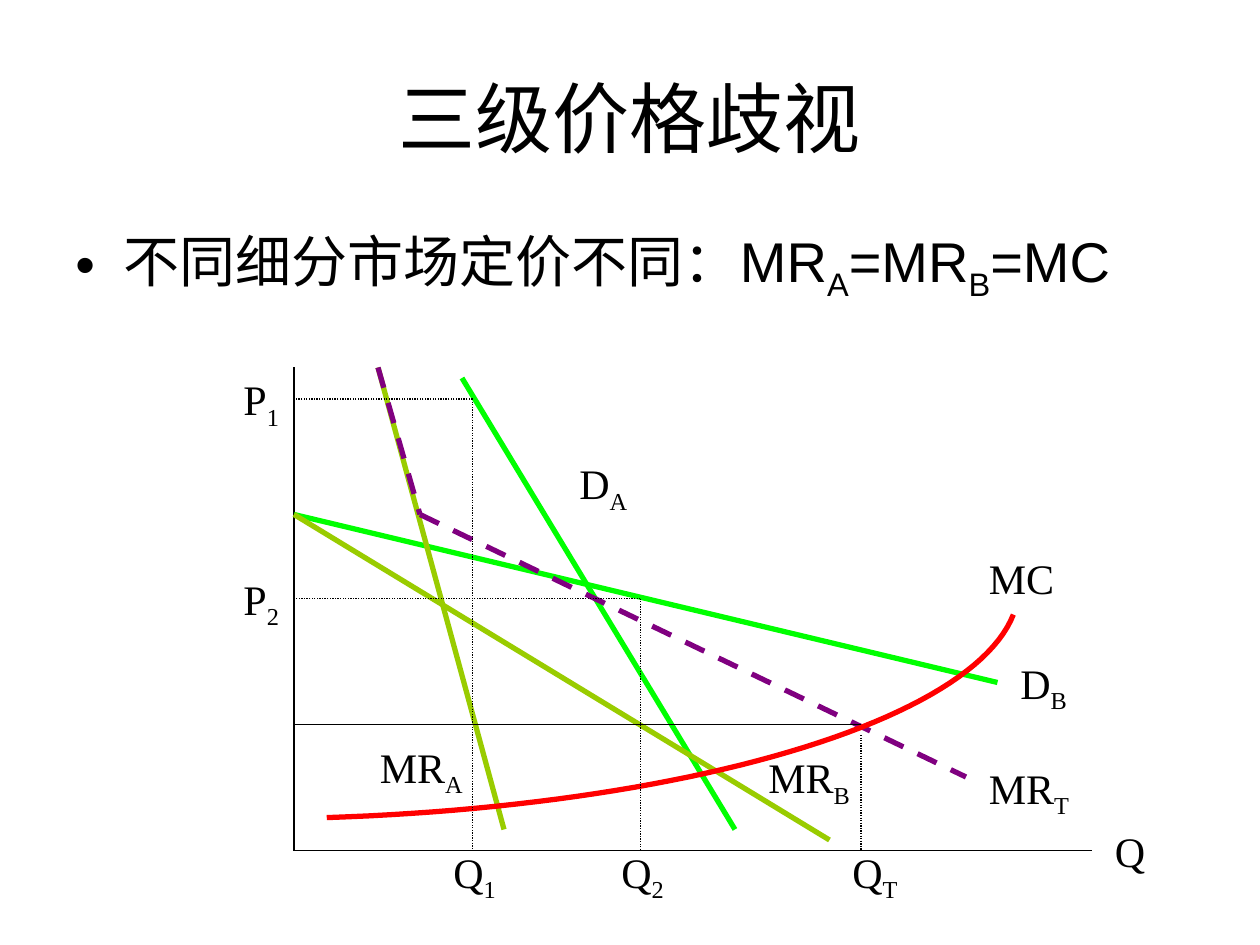
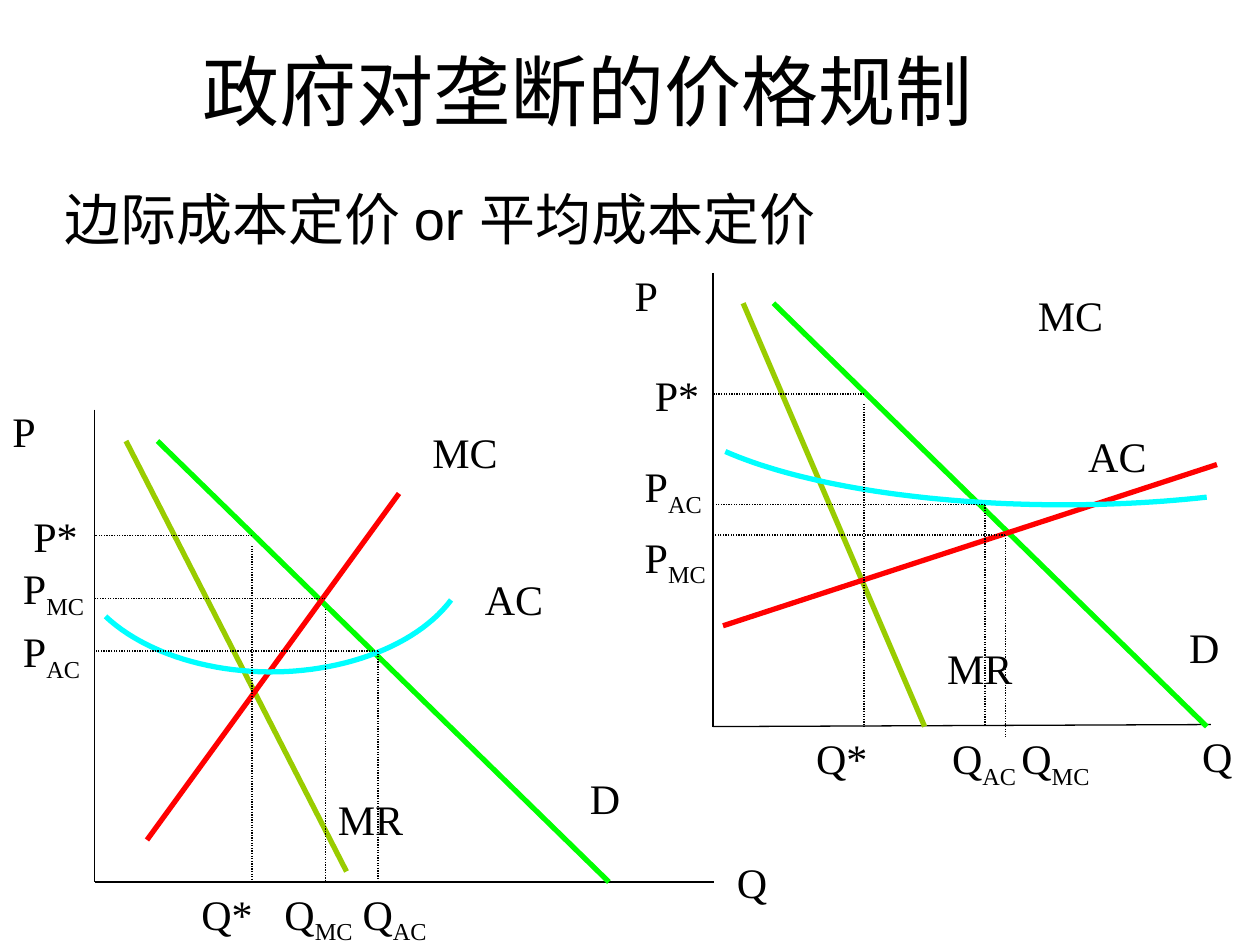
import math

from lxml import etree
from pptx import Presentation
from pptx.dml.color import RGBColor
from pptx.enum.dml import MSO_LINE
from pptx.enum.shapes import MSO_CONNECTOR
from pptx.enum.text import MSO_ANCHOR, MSO_AUTO_SIZE, PP_ALIGN
from pptx.oxml.ns import qn
from pptx.util import Inches, Pt

BLACK = RGBColor(0x00, 0x00, 0x00)
GREEN = RGBColor(0x00, 0xFF, 0x00)
OLIVE = RGBColor(0x99, 0xCC, 0x00)
RED = RGBColor(0xFF, 0x00, 0x00)
CYAN = RGBColor(0x00, 0xFF, 0xFF)
PURPLE = RGBColor(0x80, 0x00, 0x80)

DASH, DOT = MSO_LINE.DASH, MSO_LINE.ROUND_DOT
STRAIGHT = MSO_CONNECTOR.STRAIGHT
MIDDLE, CENTER, LEFT = MSO_ANCHOR.MIDDLE, PP_ALIGN.CENTER, PP_ALIGN.LEFT
FIXED = MSO_AUTO_SIZE.NONE

SANS, SERIF = "Arial", "Times New Roman"
WIDE, HIGH = Inches(10), Inches(7.5)
CELL = WIDE / 120          # the slide is a grid of 120 by 90 cells
THIN, THICK = 0.75, 3
STEPS = 48                 # segments in a curve


def cells(*counts):
    return [round(n * CELL) for n in counts]


def write(para, text, font, size):
    """Add runs; every second part between underscores is a subscript."""
    for i, part in enumerate(text.split("_")):
        if not part:
            continue
        run = para.add_run()
        run.text = part
        run.font.name, run.font.size = font, Pt(size)
        run.font.color.rgb = BLACK
        if i % 2:
            run._r.get_or_add_rPr().set("baseline", "-25000")


def add_text(shapes, box, text, font, size):
    frame = shapes.add_textbox(*cells(*box)).text_frame
    frame.word_wrap = True
    para = frame.paragraphs[0]
    para.alignment = LEFT
    write(para, text, font, size)
    return para


def add_bullet(para):
    props = para._p.get_or_add_pPr()
    props.set("marL", str(Inches(0.38)))
    props.set("indent", str(-Inches(0.38)))
    etree.SubElement(props, qn("a:buFont")).set("typeface", SANS)
    etree.SubElement(props, qn("a:buChar")).set("char", "•")


def add_tabs(para, stops):
    tabs = etree.SubElement(para._p.get_or_add_pPr(), qn("a:tabLst"))
    for stop in stops:
        tab = etree.SubElement(tabs, qn("a:tab"))
        tab.set("pos", str(Inches(stop)))
        tab.set("algn", "l")


def add_head(slide, box, text, line_box, line):
    """Title and the statement below it."""
    title = slide.shapes.title
    title.left, title.top, title.width, title.height = cells(*box)
    frame = title.text_frame
    frame.auto_size, frame.vertical_anchor = FIXED, MIDDLE
    para = frame.paragraphs[0]
    para.alignment = CENTER
    write(para, text, SANS, 44)
    return add_text(slide.shapes, line_box, line, SANS, 32)


class Plot:
    """A diagram measured in cells right of and above its origin."""

    def __init__(self, shapes, left, base, scale=1):
        self.shapes = shapes
        self.left, self.base, self.scale = left, base, scale

    def spot(self, x, y):
        return self.left + x * self.scale, self.base - y * self.scale

    def line(self, start, end, color=BLACK, width=THIN, dash=None):
        ends = cells(*self.spot(*start), *self.spot(*end))
        link = self.shapes.add_connector(STRAIGHT, *ends)
        link.line.color.rgb, link.line.width = color, Pt(width)
        if dash:
            link.line.dash_style = dash
        etree.SubElement(link._element.spPr, qn("a:effectLst"))

    def axes(self, top, end):
        self.line((0, top), (0, 0))
        self.line((0, 0), end)

    def guide(self, x, y, top, foot=0, flat=DOT):
        """Lead a point to both axes."""
        self.line((x, y), (0, y), dash=flat)
        self.line((x, top), (x, foot), dash=DOT)

    def arc(self, mid, radii, first, last, color):
        """Lower part of an ellipse, between two angles in degrees."""
        points = []
        for i in range(STEPS + 1):
            turn = math.radians(first + (last - first) * i / STEPS)
            points.append(cells(*self.spot(mid[0] + radii[0] * math.cos(turn),
                                           mid[1] - radii[1] * math.sin(turn))))
        path = self.shapes.build_freeform(*points[0])
        path.add_line_segments(points[1:], close=False)
        curve = path.convert_to_shape()
        curve.shadow.inherit = False
        curve.fill.background()
        curve.line.color.rgb, curve.line.width = color, Pt(THICK)

    def label(self, text, x, y, width):
        high = 6.7 if "_" in text else 6
        box = (*self.spot(x, y), width * self.scale, high)
        return add_text(self.shapes, box, text, SERIF, 24)


def split_market(shapes, left, base):
    """Two markets with their joint marginal revenue."""
    plot = Plot(shapes, left, base)
    plot.axes(46, (76, 0))
    for start, end, color, dash in (
            ((16, 45), (42, 2), GREEN, None),
            ((0, 32), (67, 16), GREEN, None),
            ((8, 46), (20, 2), OLIVE, None),
            ((0, 32), (51, 1), OLIVE, None),
            ((12, 32), (64, 7), PURPLE, DASH),
            ((8, 46), (12, 32), PURPLE, DASH)):
        plot.line(start, end, color, THICK, dash)
    plot.arc((-5, 25), (74, 22), 83.7, 6.6, RED)
    plot.guide(17, 43, 43)
    plot.guide(33, 24, 24)
    plot.guide(54, 12, 11, flat=None)
    for mark in (("D_A", 26, 38, 8), ("D_B", 68, 19, 8),
                 ("P_1", -6, 46, 8), ("P_2", -6, 27, 9),
                 ("MC", 65, 29, 9), ("MR_A", 7, 11, 13),
                 ("MR_B", 44, 10, 12), ("MR_T", 65, 9, 12),
                 ("Q_1", 14, 1, 8), ("Q_2", 30, 1, 9),
                 ("Q_T", 52, 1, 8), ("Q", 77, 3, 5)):
        plot.label(*mark)


def price_rule(shapes, box, end, revenue, cost, average, meet, foot, heights,
               amounts, stops, last):
    """Monopoly diagram; both cases share the demand curve and most labels."""
    plot = Plot(shapes, *box)
    plot.axes(45, end)
    plot.line((6, 42), (49, 0), GREEN, THICK)
    plot.line((3, 42), revenue, OLIVE, THICK)
    plot.line(*cost, RED, THICK)
    plot.arc(*average, CYAN)
    # Guides: monopoly, marginal cost and average cost prices
    plot.guide(15, 33, 32)
    plot.guide(*meet, foot)
    plot.guide(27, 22, 22)
    for mark in (("MC", 31, 44, 9), ("AC", 36, 30, 9), ("D", 46, 11, 6),
                 ("P_MC", -8, heights[0], 10), ("P_AC", -8, heights[1], 10),
                 ("P*", -7, 36, 8), ("P", -9, 46, 9), ("MR", 22, 9, 9),
                 ("Q", *last, 7)):
        plot.label(*mark)
    add_tabs(plot.label(amounts, 9, 0, 37), stops)


def main():
    deck = Presentation()
    deck.slide_width, deck.slide_height = WIDE, HIGH
    layout = deck.slide_layouts[5]

    # Price discrimination
    slide = deck.slides.add_slide(layout)
    add_bullet(add_head(slide, (6, 3.6, 108, 15), "三级价格歧视",
                        (6, 21, 108, 59.4),
                        "不同细分市场定价不同：MR_A_=MR_B_=MC"))
    split_market(slide.shapes, 28, 81)

    # Price regulation
    slide = deck.slides.add_slide(layout)
    add_head(slide, (5, 4, 102, 9), "政府对垄断的价格规制",
             (5, 17, 102, 8), "边际成本定价 or 平均成本定价")
    price_rule(slide.shapes.add_group_shape().shapes, (9, 84),
               end=(59, 0), revenue=(24, 1), cost=((29, 37), (5, 4)),
               average=((16.8, 32), (19, 12), 146, 25.4),
               meet=(22, 27, 26), foot=0, heights=(31, 25),
               amounts="Q*\tQ_MC_\tQ_AC", stops=(0.66, 1.28), last=(60, 3))
    price_rule(slide.shapes.add_group_shape().shapes, (67.9, 69.2, 0.96),
               end=(49.4, 0.2), revenue=(21, 0), cost=((50, 26), (1, 10)),
               average=((34.8, 34), (40.5, 12), 146, 69.5),
               meet=(29, 19, 19), foot=-1, heights=(20, 27),
               amounts="Q*\tQ_AC_\tQ_MC", stops=(1.08, 1.63), last=(47.3, 0.2))
    deck.save("out.pptx")


if __name__ == "__main__":
    main()
